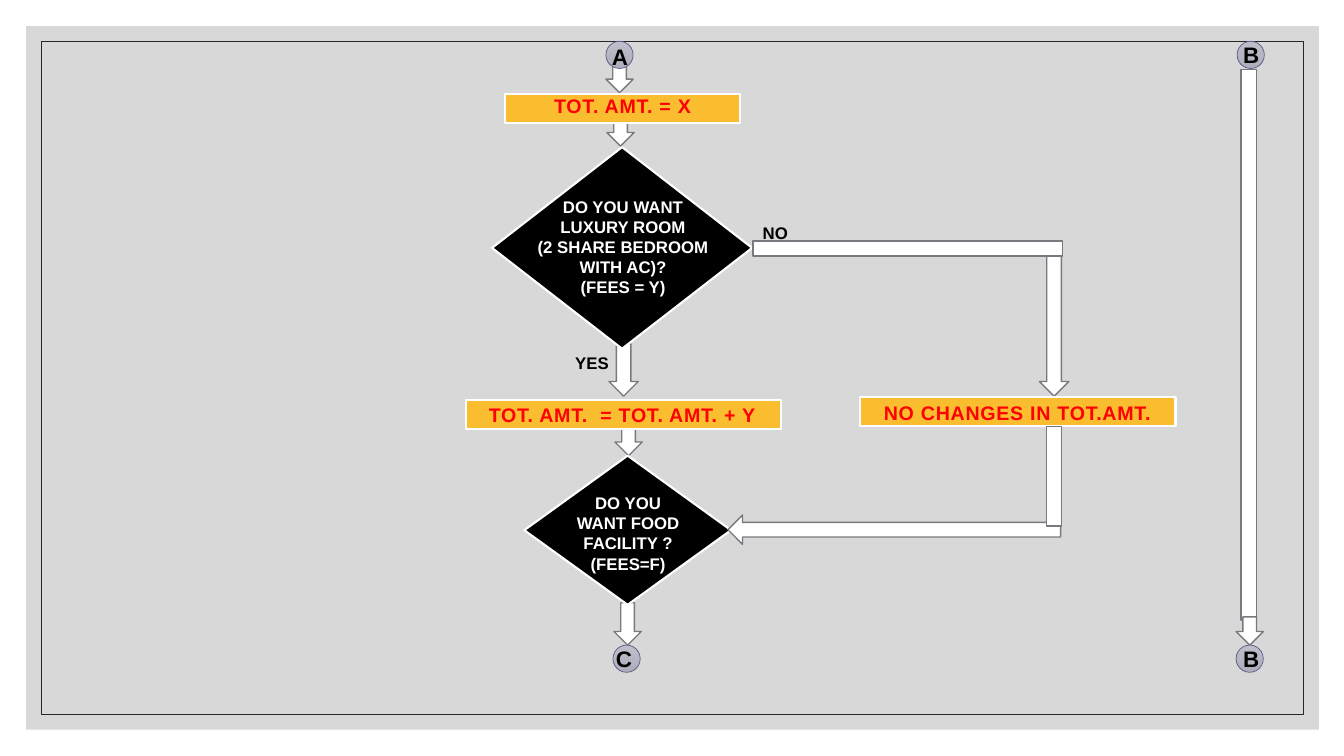
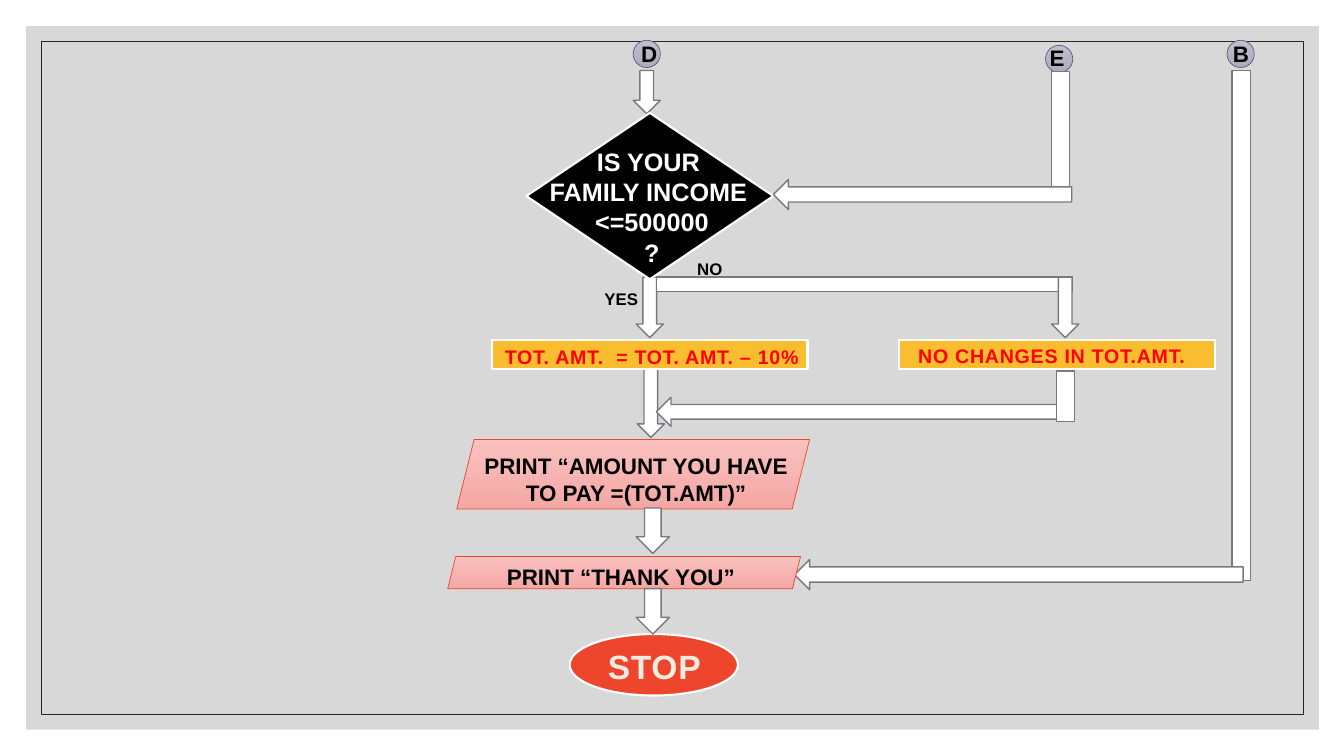
import pptx
import pptx.util
from lxml import etree
from pptx.dml.color import RGBColor
from pptx.enum.shapes import MSO_SHAPE
from pptx.enum.text import MSO_ANCHOR, PP_ALIGN
from pptx.oxml.ns import qn
from pptx.util import Inches

FONT = "Arial"
WHITE = RGBColor(0xFF, 0xFF, 0xFF)
BLACK = RGBColor(0x00, 0x00, 0x00)
PANEL_GRAY = RGBColor(0xBF, 0xBF, 0xBF)
FRAME_GRAY = RGBColor(0x26, 0x26, 0x26)
ARROW_GRAY = RGBColor(0x78, 0x78, 0x80)
AMBER = RGBColor(0xFA, 0xBD, 0x2F)
RED = RGBColor(0xFF, 0x00, 0x00)
STOP_RED = RGBColor(0xEE, 0x46, 0x2D)
CREAM = RGBColor(0xEE, 0xEC, 0xE1)
BADGE_LINE = RGBColor(0x59, 0x5A, 0x85)
BADGE_GRADIENT = (RGBColor(0xBF, 0xBF, 0xCB), RGBColor(0xAD, 0xAD, 0xBC))
OUTPUT_GRADIENT = (RGBColor(0xF9, 0xC1, 0xBF), RGBColor(0xF4, 0xA8, 0xA4))

BADGE_SIZE = 0.27
BAR_HEIGHT = 0.29
WIDE_BAR = 3.13
OUTPUT_WIDTH = 3.5


def add_outline(slide, preset, box, fill, line, line_width):
    """Add a preset shape; fill is None, one colour, or a (top, bottom) pair."""
    shape = slide.shapes.add_shape(preset, *map(Inches, box))
    shape.shadow.inherit = False
    if fill is None:
        shape.fill.background()
    elif isinstance(fill, RGBColor):
        shape.fill.solid()
        shape.fill.fore_color.rgb = fill
    else:
        shape.fill.gradient()
        shape.fill.gradient_angle = 270
        for stop, color in zip(shape.fill.gradient_stops, fill):
            stop.color.rgb = color
    if line is None:
        shape.line.fill.background()
    else:
        shape.line.color.rgb = line
        shape.line.width = pptx.util.Pt(line_width)
    return shape


def add_text(slide, box, lines, size, color=BLACK, wrap=True, spacing=0):
    """Add centred bold text, one paragraph a line; spacing is in points."""
    text_box = slide.shapes.add_textbox(*map(Inches, box))
    text_frame = text_box.text_frame
    text_frame.word_wrap = wrap
    text_frame.vertical_anchor = MSO_ANCHOR.TOP
    for index, line in enumerate(lines):
        paragraph = text_frame.paragraphs[0] if index == 0 else text_frame.add_paragraph()
        paragraph.alignment = PP_ALIGN.CENTER
        run = paragraph.add_run()
        run.text = line
        run.font.name = FONT
        run.font.size = pptx.util.Pt(size)
        run.font.bold = True
        run.font.color.rgb = color
    if spacing:
        for properties in text_box.element.iter(qn("a:rPr")):
            properties.set("spc", str(int(spacing * 100)))


def add_flow(slide, preset, *boxes):
    """Add white block arrows or the plain pipes that lead to them."""
    for box in boxes:
        add_outline(slide, preset, box, WHITE, ARROW_GRAY, 1)


def add_badge(slide, letter, left, top, text_left, text_top):
    box = (left, top, BADGE_SIZE, BADGE_SIZE)
    add_outline(slide, MSO_SHAPE.OVAL, box, BADGE_GRADIENT, BADGE_LINE, 0.5)
    add_text(slide, (text_left, text_top, 0.35, 0.37), [letter], 16)


def add_decision(slide, box, text_box, lines, size):
    add_outline(slide, MSO_SHAPE.DIAMOND, box, BLACK, WHITE, 1.5)
    add_text(slide, text_box, lines, size, WHITE)


def add_process(slide, left, top, width, text_box, text):
    box = (left, top, width, BAR_HEIGHT)
    add_outline(slide, MSO_SHAPE.RECTANGLE, box, AMBER, WHITE, 1.5)
    add_text(slide, text_box, [text], 14, RED, wrap=False, spacing=0.5)


def add_output(slide, box, text_box, text):
    add_outline(slide, MSO_SHAPE.PARALLELOGRAM, box, OUTPUT_GRADIENT, STOP_RED, 0.5)
    add_text(slide, text_box, [text], 16)


def add_branch_labels(slide, no_position, yes_position):
    add_text(slide, (*no_position, 0.56, 0.3), ["NO"], 12)
    add_text(slide, (*yes_position, 1.13, 0.3), ["YES "], 12)


def move_frame_to_layout(slide):
    """Draw the gray panel and thin frame, then hand them to the shared layout."""
    panel = add_outline(slide, MSO_SHAPE.RECTANGLE, (0.26, 0.26, 12.82, 6.98),
                        PANEL_GRAY, None, 0)
    color = next(panel.element.iter(qn("a:srgbClr")))
    etree.SubElement(color, qn("a:alpha")).set("val", "60000")
    frame = add_outline(slide, MSO_SHAPE.RECTANGLE, (0.41, 0.41, 12.52, 6.68),
                        None, FRAME_GRAY, 0.5)
    for shape in (panel, frame):
        slide.slide_layout.shapes.element.append(shape.element)


def build_room_and_food(slide):
    add_flow(slide, MSO_SHAPE.DOWN_ARROW,
             (6.09, 5.98, 0.27, 0.42), (6.01, 0.64, 0.27, 0.28),
             (6.1, 4.24, 0.27, 0.28), (6.02, 1.17, 0.27, 0.28),
             (10.31, 2.54, 0.29, 1.39), (6.04, 3.41, 0.29, 0.52))
    add_badge(slide, "A", 6.01, 0.41, 5.97, 0.38)
    add_badge(slide, "B", 12.27, 0.41, 12.23, 0.36)
    add_process(slide, 5.01, 0.93, 2.33, (5.37, 0.88, 1.61, 0.34), "TOT. AMT. = X")
    add_decision(slide, (4.88, 1.46, 2.58, 2), (5.16, 1.9, 2.04, 1.11),
                 ["DO YOU WANT LUXURY ROOM", "(2 SHARE BEDROOM WITH AC)?", "(FEES = Y)"], 12)
    add_decision(slide, (5.2, 4.52, 2.05, 1.48), (5.21, 4.84, 2.04, 0.91),
                 ["DO YOU", "WANT FOOD", "FACILITY ?", "(FEES=F)"], 12)
    add_process(slide, 4.62, 3.97, WIDE_BAR, (4.71, 3.95, 2.92, 0.34),
                "TOT. AMT.  = TOT. AMT. + Y")
    add_process(slide, 8.53, 3.94, WIDE_BAR, (8.63, 3.93, 2.92, 0.34),
                "NO CHANGES IN TOT.AMT.")
    add_flow(slide, MSO_SHAPE.LEFT_ARROW, (7.22, 5.11, 3.3, 0.29))
    add_flow(slide, MSO_SHAPE.RECTANGLE, (7.47, 2.39, 3.07, 0.15),
             (10.38, 4.23, 0.15, 0.99), (12.31, 0.69, 0.15, 5.46))
    add_flow(slide, MSO_SHAPE.DOWN_ARROW, (12.26, 6.12, 0.27, 0.28))
    add_badge(slide, "B", 12.26, 6.4, 12.23, 6.35)
    add_badge(slide, "C", 6.08, 6.4, 6.01, 6.35)
    add_branch_labels(slide, (7.41, 2.16), (5.33, 3.45))


def build_income_and_stop(slide):
    add_badge(slide, "D", 6.28, 0.4, 6.26, 0.35)
    add_badge(slide, "B", 12.17, 0.4, 12.13, 0.35)
    add_badge(slide, "E", 10.37, 0.45, 10.31, 0.39)
    add_flow(slide, MSO_SHAPE.DOWN_ARROW, (6.28, 0.7, 0.27, 0.43),
             (6.32, 3.62, 0.27, 0.72), (6.31, 2.75, 0.27, 0.6))
    add_decision(slide, (5.22, 1.12, 2.45, 1.65), (5.24, 1.4, 2.45, 1.31),
                 ["IS YOUR ", "FAMILY INCOME ", "<=500000", "?"], 18)
    add_flow(slide, MSO_SHAPE.LEFT_ARROW, (7.67, 1.78, 2.96, 0.3))
    add_flow(slide, MSO_SHAPE.RECTANGLE, (10.43, 0.71, 0.18, 1.14),
             (6.51, 2.75, 4.13, 0.14))
    add_flow(slide, MSO_SHAPE.DOWN_ARROW, (10.43, 2.75, 0.27, 0.6))
    add_process(slide, 4.88, 3.37, WIDE_BAR, (4.88, 3.37, 3.17, 0.34),
                "TOT. AMT.  = TOT. AMT. – 10%")
    add_process(slide, 8.92, 3.37, WIDE_BAR, (8.97, 3.36, 2.92, 0.34),
                "NO CHANGES IN TOT.AMT.")
    add_output(slide, (4.53, 4.36, OUTPUT_WIDTH, 0.69), (4.56, 4.44, OUTPUT_WIDTH, 0.64),
               "PRINT “AMOUNT YOU HAVE TO PAY =(TOT.AMT)”")
    add_flow(slide, MSO_SHAPE.LEFT_ARROW, (6.51, 3.94, 3.98, 0.29))
    add_flow(slide, MSO_SHAPE.RECTANGLE, (10.48, 3.68, 0.18, 0.5),
             (12.22, 0.7, 0.18, 5.06))
    add_flow(slide, MSO_SHAPE.LEFT_ARROW, (7.88, 5.55, 4.45, 0.3))
    add_outline(slide, MSO_SHAPE.OVAL, (5.65, 6.29, 1.67, 0.61), STOP_RED, WHITE, 1.5)
    add_text(slide, (5.81, 6.36, 1.36, 0.5), ["STOP"], 24, CREAM, spacing=0.5)
    add_output(slide, (4.44, 5.52, OUTPUT_WIDTH, 0.32), (4.44, 5.54, OUTPUT_WIDTH, 0.37),
               "PRINT “THANK YOU” ")
    add_flow(slide, MSO_SHAPE.DOWN_ARROW, (6.31, 5.04, 0.33, 0.45),
             (6.31, 5.84, 0.33, 0.45))
    add_branch_labels(slide, (6.76, 2.52), (5.62, 2.82))


def main():
    presentation = pptx.Presentation()
    presentation.slide_width = Inches(13.33)
    presentation.slide_height = Inches(7.5)
    blank_layout = presentation.slide_layouts.get_by_name("Blank")
    slides = [presentation.slides.add_slide(blank_layout) for _ in range(2)]
    move_frame_to_layout(slides[0])
    build_room_and_food(slides[0])
    build_income_and_stop(slides[1])
    presentation.save("out.pptx")


if __name__ == "__main__":
    main()
